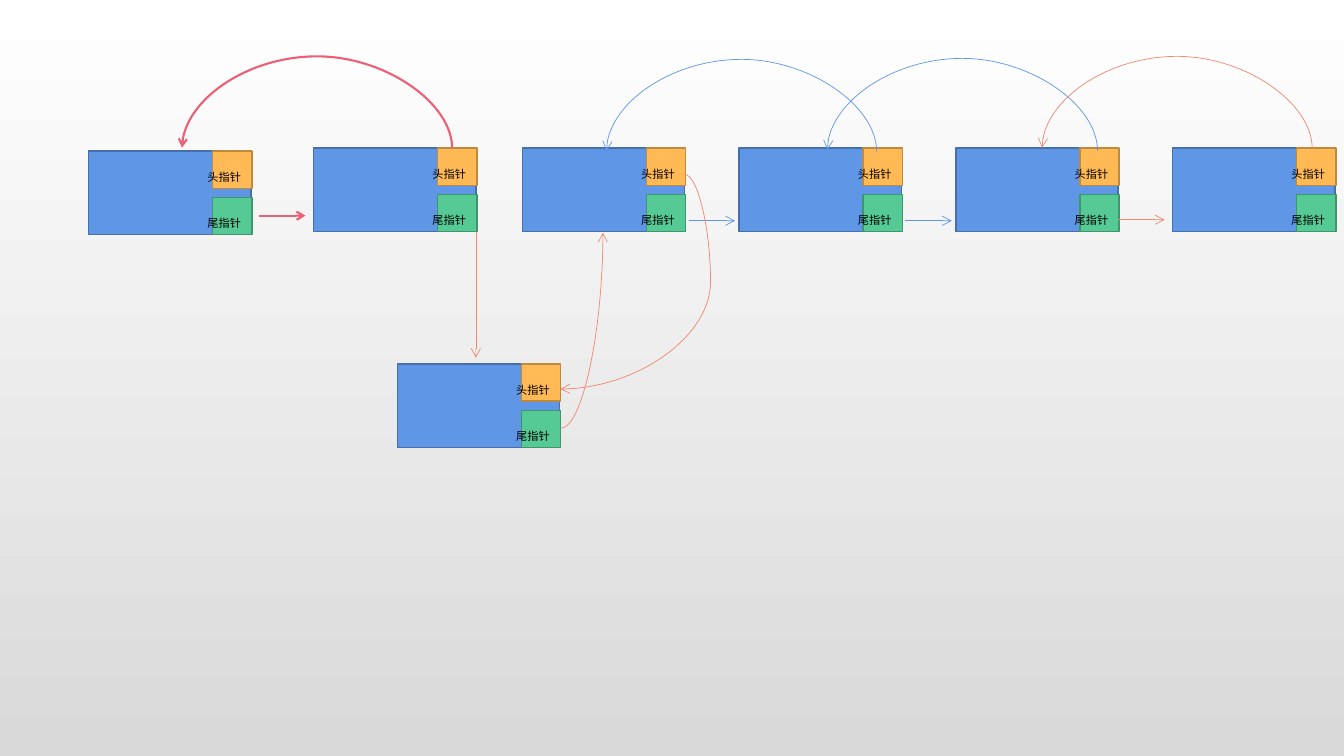
from lxml.etree import SubElement
from pptx import Presentation
from pptx.dml.color import RGBColor
from pptx.enum.shapes import MSO_CONNECTOR as CONNECTOR, MSO_SHAPE as SHAPE
from pptx.enum.text import MSO_AUTO_SIZE as AUTO_SIZE
from pptx.oxml.ns import qn
from pptx.util import Pt

PX = 9144  # 100 px to the inch
BLUE, CORAL, ROSE = "6096E6", "F18870", "EC5F74"
NODE_W, NODE_H = 161, 83
ROW_TOP = 147
NODES = [(311, ROW_TOP), (518, ROW_TOP), (733, ROW_TOP), (948, ROW_TOP),
         (88, 150), (394, 361), (1163, ROW_TOP)]
# label, offset from the node's top, fill, outline
POINTERS = [("头指针", 0, "FFBA55", "BD8A3F"), ("尾指针", 46, "56CA95", "40956E")]
# start x, end x, y, colour, width
NEXT_ARROWS = [(683, 729, 219, BLUE, 0.5), (898, 944, 219, BLUE, 0.5),
               (257, 303, 214, ROSE, 1.5), (1109, 1155, 218, CORAL, 0.5)]
# end x, y, colour, width
BACK_ARCS = [(601, 150, BLUE, 0.5), (820, 149, BLUE, 0.5),
             (180, 147, ROSE, 1.5), (1033, 147, CORAL, 0.5)]
ARC_SPAN, ARC_RISE = 268, 93


def px(*lengths):
    return [length * PX for length in lengths]


def color(value):
    return RGBColor.from_string(value)


def paint_background(slide):
    fill = slide.background.fill
    fill.gradient()
    fill.gradient_angle = 270
    for stop, value in zip(fill.gradient_stops, ("FFFFFF", "D9D9D9")):
        stop.color.rgb = color(value)


def add_block(group, box, fill, outline):
    block = group.shapes.add_shape(SHAPE.RECTANGLE, *px(*box))
    block.shadow.inherit = False
    block.fill.solid()
    block.fill.fore_color.rgb = color(fill)
    block.line.color.rgb = color(outline)
    block.line.width = Pt(1)


def add_label(group, box, text):
    label = group.shapes.add_textbox(*px(*box))
    frame = label.text_frame
    frame.word_wrap = False
    frame.auto_size = AUTO_SIZE.SHAPE_TO_FIT_TEXT
    paragraph = frame.paragraphs[0]
    paragraph.text = text
    paragraph.font.size = Pt(8)
    paragraph.font.name = "Arial"
    paragraph.font.color.rgb = color("000000")


def add_node(slide, left, top):
    """Add a list node with its head and tail pointers, grouped."""
    group = slide.shapes.add_group_shape()
    add_block(group, (left, top, NODE_W, NODE_H), BLUE, "476FAA")
    for _, offset, fill, outline in POINTERS:
        add_block(group, (left + 123, top + offset, 39, 37), fill, outline)
    for text, offset, _, _ in POINTERS:
        add_label(group, (left + 108, top + offset + 14, 56, 23), text)


def add_arrow(slide, start, end, value, width=0.5, kind=CONNECTOR.STRAIGHT):
    arrow = slide.shapes.add_connector(kind, *px(*start, *end))
    arrow.line.color.rgb = color(value)
    arrow.line.width = Pt(width)
    properties = arrow._element.spPr
    SubElement(properties.find(qn("a:ln")), qn("a:tailEnd"), type="arrow")
    SubElement(properties, qn("a:effectLst"))
    return arrow


def add_curve(slide, start, end, value, width=0.5, bend=None, turn=0):
    """Add a curved arrow; bend is its middle as a share of the width.

    Without a bend it is a quarter curve. Turn is in degrees clockwise.
    """
    curve = add_arrow(slide, start, end, value, width, CONNECTOR.CURVE)
    properties = curve._element.spPr
    geometry = properties.find(qn("a:prstGeom"))
    if bend is None:
        geometry.set("prst", "curvedConnector2")
    else:
        SubElement(geometry.find(qn("a:avLst")), qn("a:gd"),
                   name="adj1", fmla=f"val {round(bend * 100000)}")
    if turn:
        properties.find(qn("a:xfrm")).set("rot", str(turn * 60000))


def add_back_arc(slide, left, y, value, width):
    """Add an arc over the nodes: a 1 px wide curve turned on its side."""
    half = ARC_SPAN // 2
    center = left + half
    add_curve(slide, (center, y + half), (center + 1, y - half), value, width,
              bend=ARC_RISE, turn=270)


def add_insertion_arrows(slide):
    """Link the lower node with its following node."""
    add_curve(slide, (679, 173), (556, 386), CORAL, bend=-0.21)
    add_curve(slide, (556, 425), (598, 231), CORAL)


def main():
    presentation = Presentation()
    presentation.slide_width, presentation.slide_height = px(1333, 750)
    slide = presentation.slides.add_slide(presentation.slide_layouts[6])
    paint_background(slide)
    add_arrow(slide, (472, 219), (472, 355), CORAL)
    for left, top in NODES:
        add_node(slide, left, top)
    for start, end, y, value, width in NEXT_ARROWS:
        add_arrow(slide, (start, y), (end, y), value, width)
    for arc in BACK_ARCS:
        add_back_arc(slide, *arc)
    add_insertion_arrows(slide)
    presentation.save("out.pptx")


if __name__ == "__main__":
    main()
